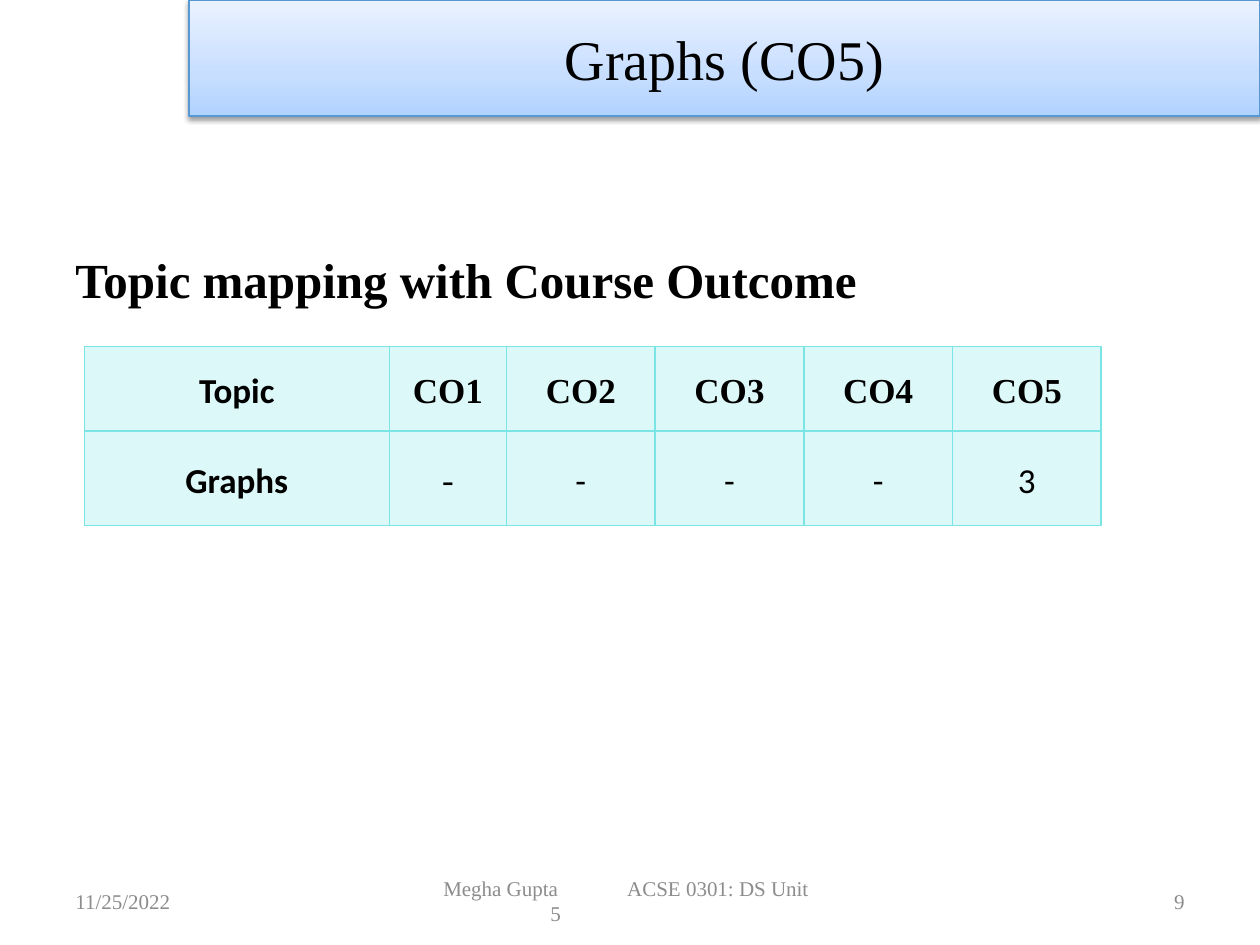
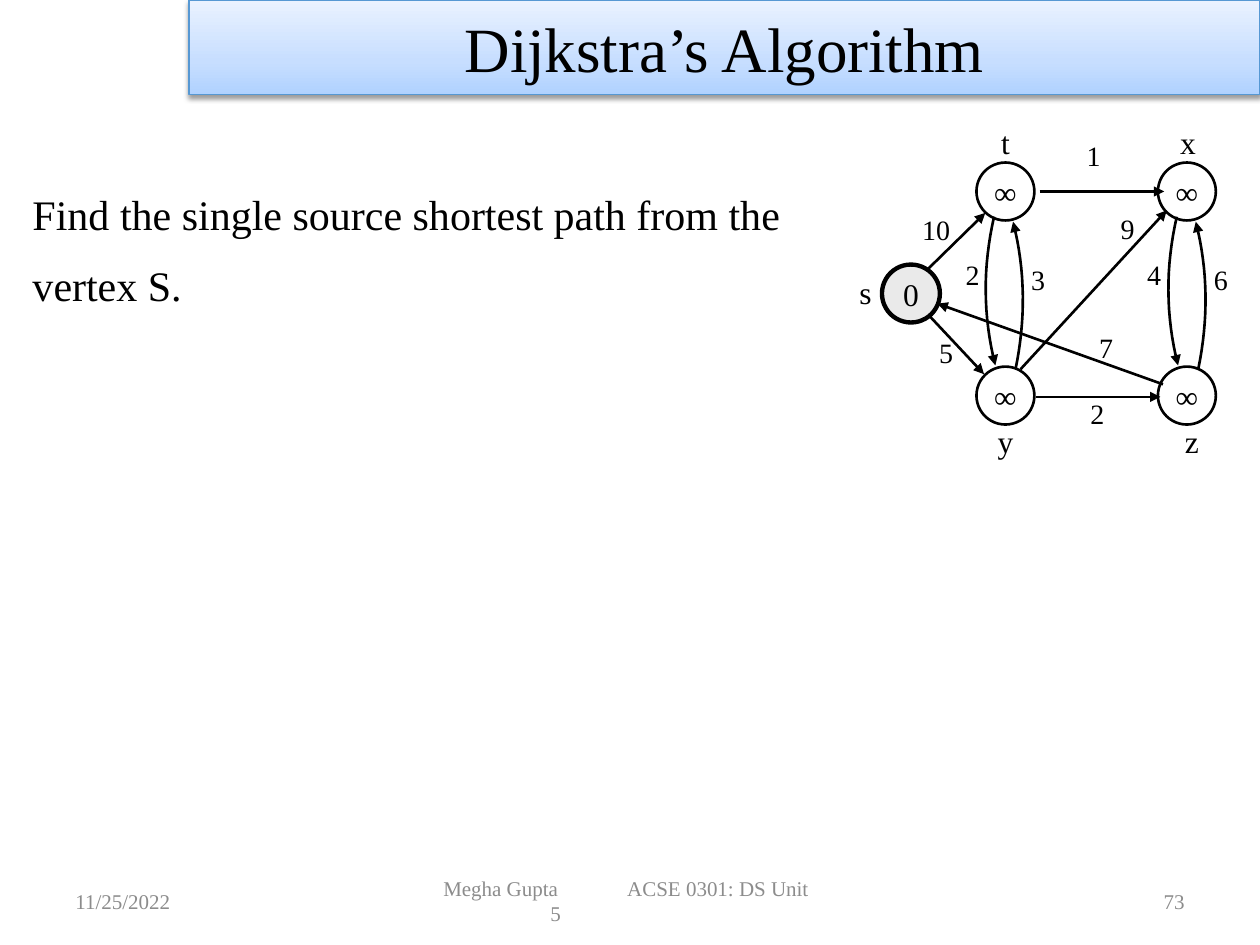
import copy

import pptx
import pptx.chart.data
import pptx.dml.color
import pptx.enum.shapes
import pptx.enum.text
import pptx.oxml
import pptx.oxml.ns
import pptx.util
from lxml import etree

Inches = pptx.util.Inches
Pt = pptx.util.Pt
RGBColor = pptx.dml.color.RGBColor
MSO_SHAPE = pptx.enum.shapes.MSO_SHAPE
MIDDLE = pptx.enum.text.MSO_ANCHOR.MIDDLE
TOP = pptx.enum.text.MSO_ANCHOR.TOP
LEFT = pptx.enum.text.PP_ALIGN.LEFT
CENTER = pptx.enum.text.PP_ALIGN.CENTER
RIGHT = pptx.enum.text.PP_ALIGN.RIGHT
qn = pptx.oxml.ns.qn

BLACK = RGBColor(0x00, 0x00, 0x00)
FOOTER_GREY = RGBColor(0x8C, 0x8C, 0x8C)
SOURCE_GREY = RGBColor(0xEA, 0xEA, 0xEA)
BAND_LINE = RGBColor(0x56, 0x98, 0xD3)
BAND_STOPS = [
    (0, RGBColor(0xB0, 0xD2, 0xFF)),
    (0.35, RGBColor(0xC7, 0xDE, 0xFF)),
    (1, RGBColor(0xEA, 0xF2, 0xFF)),
]
TABLE_CYAN = RGBColor(0x7B, 0xE5, 0xE5)
SERIF = "Times New Roman"
SANS = "Calibri"


def write(tf, text, size=18, font=SERIF, color=BLACK, bold=False, align=LEFT,
          anchor=None, wrap=True, inset=None, spacing=None, before=0, after=0,
          tabs=()):
    """Fill a text frame; each line of text becomes a paragraph."""
    tf.word_wrap = wrap
    if anchor is not None:
        tf.vertical_anchor = anchor
    if inset is not None:
        tf.margin_left = tf.margin_right = Inches(inset)
        tf.margin_top = tf.margin_bottom = Inches(inset)
    for i, line in enumerate(text.split("\n")):
        p = tf.add_paragraph() if i else tf.paragraphs[0]
        p.text = line
        p.alignment = align
        if spacing:
            p.line_spacing = spacing
        if before and i:
            p.space_before = Pt(before)
        if after:
            p.space_after = Pt(after)
        if tabs:
            tab_list = etree.SubElement(p._p.get_or_add_pPr(), qn("a:tabLst"))
            for tab in tabs:
                etree.SubElement(tab_list, qn("a:tab"), pos=str(Inches(tab)), algn="l")
        for r in p.runs:
            r.font.size = Pt(size)
            r.font.name = font
            r.font.bold = bold
            r.font.color.rgb = color


def draw_arrow(sp, end):
    """Style a line; end is headEnd (at its start) or tailEnd (at its end)."""
    sp.line.color.rgb = BLACK
    sp.line.width = Pt(1.5)
    etree.SubElement(sp.line._get_or_add_ln(), qn("a:" + end), type="triangle")


prs = pptx.Presentation()
prs.slide_width, prs.slide_height = Inches(10), Inches(7.5)

# Title band and footers
slides = []
for title, title_size, band_height, number in [
    ("Graphs (CO5)", 32, 0.92, "9"),
    ("Dijkstra’s Algorithm", 36, 0.75, "73"),
]:
    s = prs.slides.add_slide(prs.slide_layouts[6])
    slides.append(s)
    band = s.shapes.add_shape(MSO_SHAPE.RECTANGLE, Inches(1.5), 0,
                              Inches(8.5), Inches(band_height))
    band.fill.gradient()
    band.fill.gradient_angle = 90
    stop_list = band._element.spPr.find(".//" + qn("a:gsLst"))
    stop_list.insert(1, copy.deepcopy(stop_list[0]))
    for stop, (position, color) in zip(band.fill.gradient_stops, BAND_STOPS):
        stop.position = position
        stop.color.rgb = color
    band.line.color.rgb = BAND_LINE
    band.line.width = Pt(0.75)
    band.shadow.inherit = False
    shadow = etree.SubElement(
        band._element.spPr.find(qn("a:effectLst")), qn("a:outerShdw"),
        blurRad=str(Pt(3.1)), dist=str(Pt(1.6)), dir="5400000", rotWithShape="0")
    shadow_color = etree.SubElement(shadow, qn("a:srgbClr"), val="000000")
    etree.SubElement(shadow_color, qn("a:alpha"), val="38000")
    write(band.text_frame, title, size=title_size, align=CENTER, anchor=MIDDLE)

    for left, width, text, align, tabs in [
        (0.5, 2.33, "11/25/2022", LEFT, ()),
        (3.42, 3.17, "Megha Gupta\tACSE 0301: DS Unit\v\t5", LEFT, (0.85, 1.46)),
        (7.17, 2.33, number, RIGHT, ()),
    ]:
        footer = s.shapes.add_textbox(Inches(left), Inches(6.95), Inches(width), Inches(0.4))
        write(footer.text_frame, text, size=12, color=FOOTER_GREY, align=align,
              anchor=MIDDLE, tabs=tabs)

# Slide 1: course outcome table
s = slides[0]
heading = s.shapes.add_textbox(Inches(0.5), Inches(1.93), Inches(9), Inches(0.6))
write(heading.text_frame, "Topic mapping with Course Outcome", size=28, bold=True)

rows = [
    ["Topic", "CO1", "CO2", "CO3", "CO4", "CO5"],
    ["Graphs", "-", "-", "-", "-", "3"],
]
table_shape = s.shapes.add_table(2, 6, Inches(0.67), Inches(2.75), Inches(8.08), Inches(1.42))
table = table_shape.table
for column, width in zip(table.columns, [2.42, 0.93] + [1.18] * 4):
    column.width = Inches(width)
for row, height in zip(table.rows, [0.67, 0.75]):
    row.height = Inches(height)
for i, row in enumerate(rows):
    for j, text in enumerate(row):
        cell = table.cell(i, j)
        cell.vertical_anchor = MIDDLE
        cell.margin_left = cell.margin_right = Inches(0.07)
        cell.margin_top = cell.margin_bottom = 0
        tc_pr = cell._tc.get_or_add_tcPr()
        for side in ("lnL", "lnR", "lnT", "lnB"):
            border = etree.SubElement(tc_pr, qn("a:" + side), w=str(Pt(1)))
            border_fill = etree.SubElement(border, qn("a:solidFill"))
            etree.SubElement(border_fill, qn("a:srgbClr"), val=str(TABLE_CYAN))
        cell.fill.solid()
        cell.fill.fore_color.rgb = TABLE_CYAN
        cell_color = tc_pr.find(qn("a:solidFill")).find(qn("a:srgbClr"))
        etree.SubElement(cell_color, qn("a:alpha"), val="25000")
        serif = j == 1 or (i == 0 and j > 0)
        write(cell.text_frame, text, size=20, font=SERIF if serif else SANS,
              bold=i == 0 or j == 0, align=CENTER, spacing=1.15,
              after=10 if i and j else 0)

# Slide 2: weighted graph
s = slides[1]
task = s.shapes.add_textbox(Inches(0.16), Inches(1.37), Inches(6.5), Inches(1.2))
write(task.text_frame, "Find the single source shortest path from the\nvertex S.",
      size=24, spacing=1.2, before=6)

NODE = 0.46
for left, top, distance in [
    (7, 2.1, "0"),
    (7.75, 1.29, "∞"),
    (9.19, 1.29, "∞"),
    (7.75, 2.91, "∞"),
    (9.19, 2.91, "∞"),
]:
    is_source = distance == "0"
    node = s.shapes.add_shape(MSO_SHAPE.OVAL, Inches(left), Inches(top),
                              Inches(NODE), Inches(NODE))
    node.shadow.inherit = False
    if is_source:
        node.fill.solid()
        node.fill.fore_color.rgb = SOURCE_GREY
    else:
        node.fill.background()
    node.line.color.rgb = BLACK
    node.line.width = Pt(2.5 if is_source else 1.5)
    write(node.text_frame, distance, align=CENTER, anchor=MIDDLE, wrap=False, inset=0)

# Straight edges: start and end
for x1, y1, x2, y2 in [
    (7.36, 2.14, 7.82, 1.69),
    (7.37, 2.5, 7.81, 2.97),
    (8.22, 3.15, 9.21, 3.15),
    (8.1, 2.93, 9.26, 1.67),
    (9.23, 3.05, 7.44, 2.41),
    (8.25, 1.52, 9.24, 1.52),
]:
    edge = s.shapes.add_connector(pptx.enum.shapes.MSO_CONNECTOR.STRAIGHT,
                                  Inches(x1), Inches(y1), Inches(x2), Inches(y2))
    draw_arrow(edge, "tailEnd")
    etree.SubElement(edge._element.spPr, qn("a:effectLst"))

# Bowed edges: arrow tip, far end and x of the control points
STEPS = 16
for shift in (0, 1.45):
    for x1, y1, x2, y2, bow in [
        (8.04, 1.76, 8.06, 2.93, 8.14),
        (7.9, 2.9, 7.89, 1.72, 7.8),
    ]:
        points = []
        for k in range(STEPS + 1):
            t = k / STEPS
            x = (1 - t) ** 3 * x1 + 3 * t * (1 - t) * bow + t ** 3 * x2
            points.append((Inches(x + shift), Inches(y1 + t * (y2 - y1))))
        builder = s.shapes.build_freeform(*points[0])
        builder.add_line_segments(points[1:], close=False)
        curve = builder.convert_to_shape()
        curve.shadow.inherit = False
        curve.fill.background()
        draw_arrow(curve, "headEnd")

# Labels placed by their centres
weights = [
    ("10", 7.43, 1.82), ("1", 8.68, 1.23), ("5", 7.51, 2.8), ("2", 8.71, 3.28),
    ("2", 7.72, 2.18), ("3", 8.24, 2.22), ("9", 8.95, 1.81), ("7", 8.78, 2.76),
    ("4", 9.16, 2.18), ("6", 9.69, 2.22),
]
vertices = [
    ("s", 6.87, 2.32), ("t", 7.98, 1.13), ("x", 9.43, 1.13),
    ("y", 7.98, 3.5), ("z", 9.46, 3.5),
]
for labels, size in ((weights, 16), (vertices, 18)):
    for text, x, y in labels:
        label = s.shapes.add_textbox(Inches(x - 0.2), Inches(y - 0.2),
                                     Inches(0.4), Inches(0.4))
        write(label.text_frame, text, size=size, align=CENTER, anchor=MIDDLE,
              wrap=False, inset=0)

prs.save("out.pptx")
